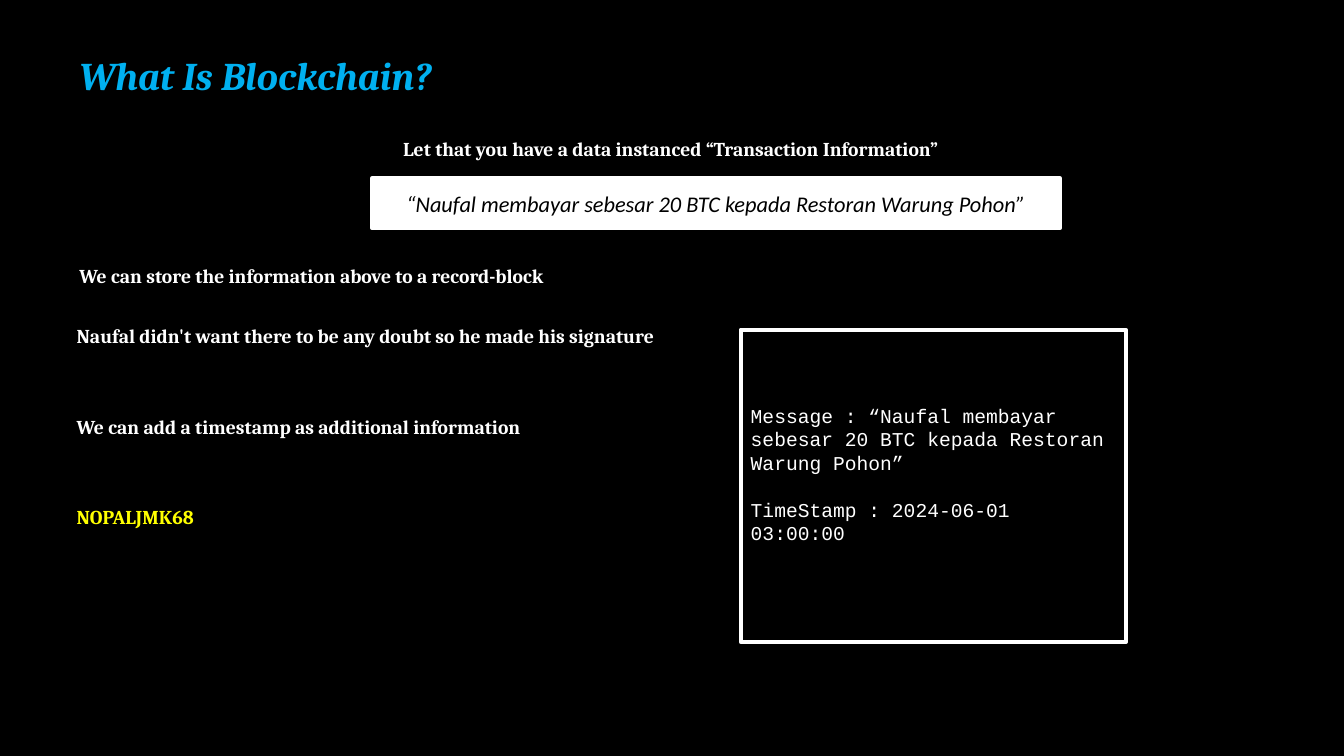
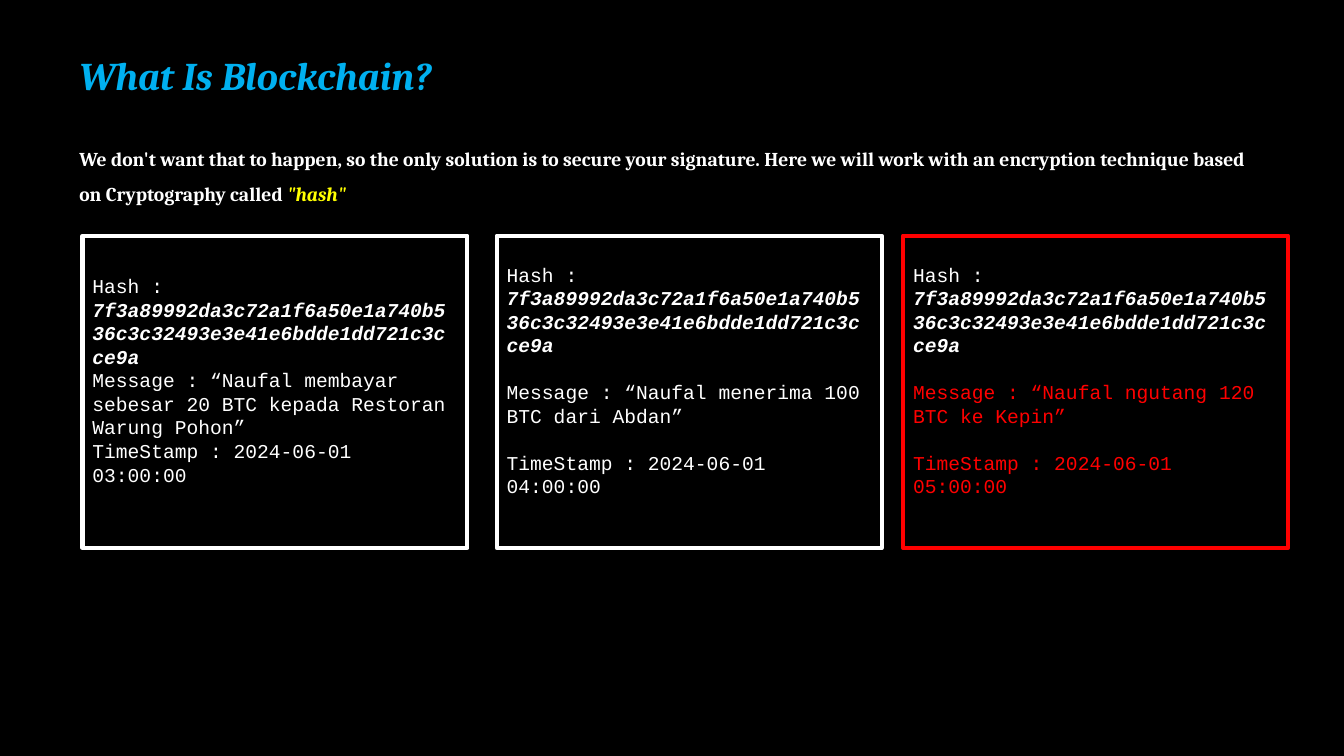
from pptx import Presentation
from pptx.dml.color import RGBColor
from pptx.enum.shapes import MSO_SHAPE as SHAPE
from pptx.enum.text import MSO_ANCHOR as ANCHOR, PP_ALIGN as ALIGN
from pptx.util import Cm, Pt

BLACK, WHITE, BLUE = "000000", "FFFFFF", "00B0F0"
YELLOW, RED = "FFFF00", "FF0000"
SERIF, SANS, MONO = "Cambria", "Calibri", "Courier New"
LEFT = 1.75
BLOCK_W, BLOCK_H = 9.7, 7.87
LINE_GAP = 16.8
HASH = "7f3a89992da3c72a1f6a50e1a740b536c3c32493e3e41e6bdde1dd721c3cce9a"
PAYMENT = "“Naufal membayar sebesar 20 BTC kepada Restoran Warung Pohon”"


def rgb(value):
    return RGBColor.from_string(value)


def add_run(p, text, color=WHITE, font=SERIF, size=14, bold=False, italic=False):
    r = p.add_run()
    r.text = text
    f = r.font
    f.name, f.size, f.bold, f.italic = font, Pt(size), bold, italic
    f.color.rgb = rgb(color)


def text_box(s, x, y, w, h, spacing=1.0):
    tf = s.shapes.add_textbox(Cm(x), Cm(y), Cm(w), Cm(h)).text_frame
    tf.word_wrap = True
    p = tf.paragraphs[0]
    p.line_spacing = spacing
    return p


def add_title(s, x, y, w=11.02, h=1.45):
    p = text_box(s, x, y, w, h)
    add_run(p, "What Is Blockchain?", BLUE, size=28, bold=True, italic=True)


def add_note(s, x, y, text, color=WHITE, w=16.28, h=1.07):
    p = text_box(s, x, y, w, h, 1.5)
    add_run(p, text, color, bold=True)
    return p


def framed_rect(s, x, y, w, h, line, fill=None):
    sp = s.shapes.add_shape(SHAPE.RECTANGLE, Cm(x), Cm(y), Cm(w), Cm(h))
    sp.shadow.inherit = False
    if fill:
        sp.fill.solid()
        sp.fill.fore_color.rgb = rgb(fill)
    else:
        sp.fill.background()
    sp.line.color.rgb = rgb(line)
    sp.line.width = Pt(3)
    tf = sp.text_frame
    tf.word_wrap = True
    tf.vertical_anchor = ANCHOR.MIDDLE
    return tf


def add_quote(s, x, y, w, h):
    p = framed_rect(s, x, y, w, h, WHITE, WHITE).paragraphs[0]
    p.alignment = ALIGN.CENTER
    add_run(p, PAYMENT, BLACK, SANS, 16, italic=True)


def add_block(s, x, y, message, time, color=WHITE, hashed=True, gap=LINE_GAP):
    tf = framed_rect(s, x, y, BLOCK_W, BLOCK_H, color)
    tf.margin_bottom = Cm(0.72)
    p = tf.paragraphs[0]
    p.alignment = ALIGN.LEFT
    if hashed:
        add_run(p, "Hash : ", font=MONO)
        add_run(p, HASH, font=MONO, bold=True, italic=True)
        p = tf.add_paragraph()
        p.alignment = ALIGN.LEFT
        p.space_before = Pt(gap)
    add_run(p, f"Message : {message}", color, MONO)
    p = tf.add_paragraph()
    p.alignment = ALIGN.LEFT
    p.space_before = Pt(gap)
    add_run(p, f"TimeStamp : 2024-06-01 {time}", color, MONO)


def add_steps(s, x, y, steps, pitch=2.28):
    for i, (text, color) in enumerate(steps):
        add_note(s, x, y + i * pitch, text, color)


def add_blocks(s, y, blocks):
    for x, message, time, color, gap in blocks:
        add_block(s, x, y, message, time, color, gap=gap)


def new_slide(prs):
    s = prs.slides.add_slide(prs.slide_layouts[6])
    add_title(s, LEFT, 1.17)
    return s


def record_slide(prs):
    s = new_slide(prs)
    add_note(s, 9.91, 3.02, "Let that you have a data instanced “Transaction Information”")
    add_quote(s, 9.37, 4.5, 17.35, 1.24)
    add_note(s, LEFT, 6.22, "We can store the information above to a record-block")
    add_block(s, 18.67, 8.31, PAYMENT, "03:00:00", hashed=False)
    add_steps(s, 1.68, 7.75, [
        ("Naufal didn't want there to be any doubt so he made his signature", WHITE),
        ("We can add a timestamp as additional information", WHITE),
        ("NOPALJMK68", YELLOW),
    ])


def hash_slide(prs):
    s = new_slide(prs)
    p = add_note(
        s, LEFT, 3.28,
        "We don't want that to happen, so the only solution is to secure your "
        "signature. Here we will work with an encryption technique based on "
        "Cryptography called ", w=30.07, h=1.96)
    add_run(p, '"hash"', YELLOW, bold=True, italic=True)
    add_blocks(s, 5.94, [
        (2.08, PAYMENT, "03:00:00", WHITE, 0),
        (12.52, "“Naufal menerima 100 BTC dari Abdan”", "04:00:00", WHITE, LINE_GAP),
        (22.76, "“Naufal ngutang 120 BTC ke Kepin”", "05:00:00", RED, LINE_GAP),
    ])


def main():
    prs = Presentation()
    prs.slide_width, prs.slide_height = Cm(33.87), Cm(19.05)
    fill = prs.slide_master.background.fill
    fill.solid()
    fill.fore_color.rgb = rgb(BLACK)
    record_slide(prs)
    hash_slide(prs)
    prs.save("out.pptx")


if __name__ == "__main__":
    main()
